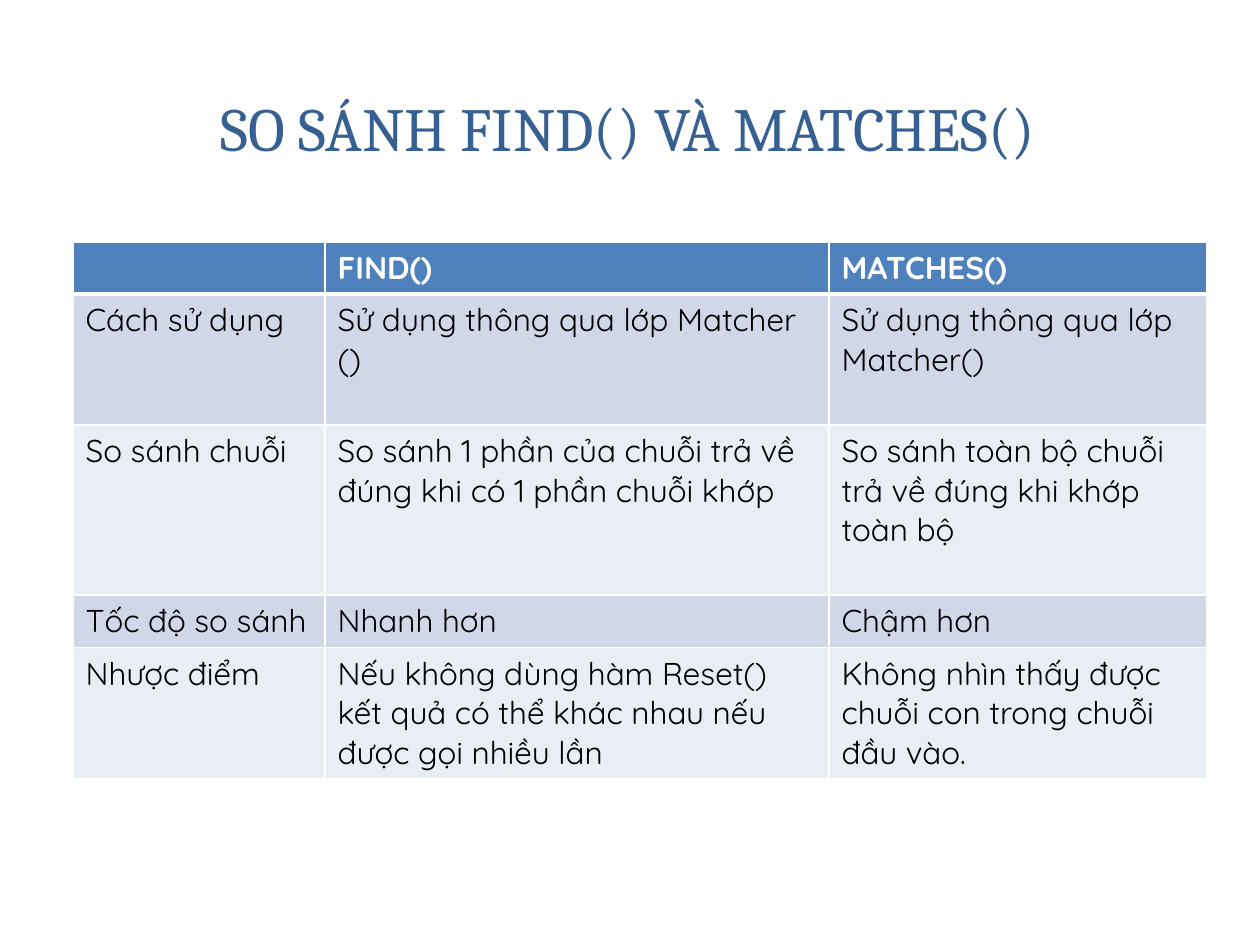
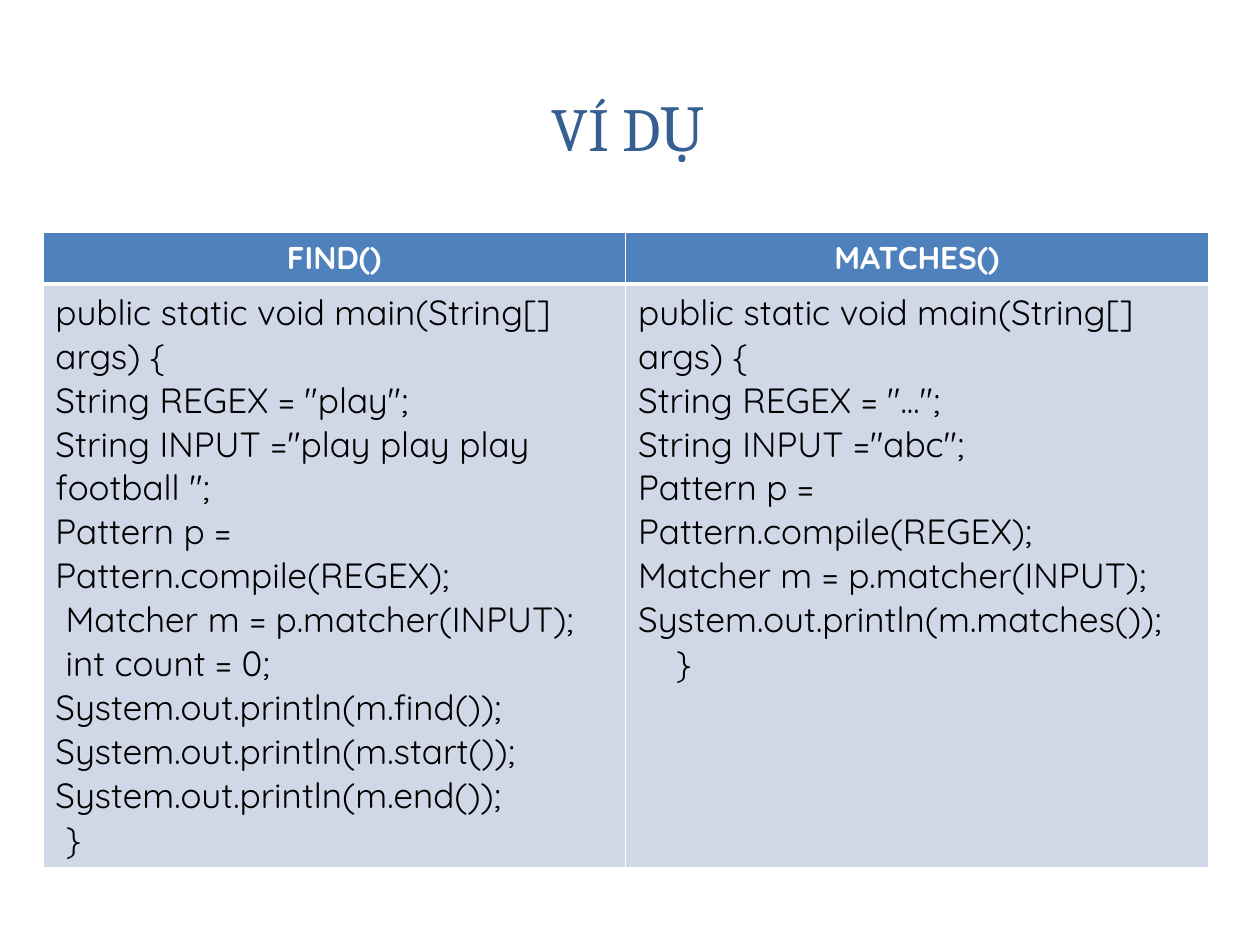
"""Build two slides that compare find() and matches() in tables."""
import pptx
import pptx.dml.color
import pptx.enum.shapes
import pptx.enum.text
import pptx.oxml
import pptx.oxml.ns
import pptx.util
from pptx.util import Inches

TITLE_BLUE = "376092"
HEADER_BLUE = "4F81BD"
BAND_FILLS = ["D0D8E8", "E9EDF4"]
WHITE = "FFFFFF"
BLACK = "000000"
TITLE_FONT = "Cambria"
BODY_FONT = "Quicksand"
CENTER = pptx.enum.text.PP_ALIGN.CENTER
LEFT = pptx.enum.text.PP_ALIGN.LEFT
ROUNDED = pptx.enum.shapes.MSO_SHAPE.ROUNDED_RECTANGLE
RECTANGLE = pptx.enum.shapes.MSO_SHAPE.RECTANGLE
DRAWING_NAMESPACE = pptx.oxml.ns.nsdecls("a")
PANELS = [
    (ROUNDED, (0.1, 0.11, 9.8, 7.29), 100),
    (RECTANGLE, (0.3, 0.3, 9.4, 1.45), 83),
    (RECTANGLE, (0.41, 0.41, 9.17, 1.22), 100),
]


def color(hex_string):
    return pptx.dml.color.RGBColor.from_string(hex_string)


def add_run(paragraph, text, font_name, size, hex_string, bold=False):
    run = paragraph.add_run()
    run.text = text
    run.font.name = font_name
    run.font.size = pptx.util.Pt(size)
    run.font.bold = bold
    run.font.color.rgb = color(hex_string)


find_code = [
    ("public static void main(String[] args) {", 0),
    ('String REGEX = "play";', 0),
    ('String INPUT ="play play play football ";', 0),
    ("Pattern p = Pattern.compile(REGEX);", 0),
    ("Matcher m = p.matcher(INPUT);", 0.08),
    ("int count = 0;", 0.08),
    ("System.out.println(m.find());", 0),
    ("System.out.println(m.start());", 0),
    ("System.out.println(m.end());", 0),
    ("}", 0.08),
]
matches_code = [
    ("public static void main(String[] args) {", 0),
    ('String REGEX = "...";', 0),
    ('String INPUT ="abc";', 0),
    ("Pattern p = Pattern.compile(REGEX);", 0),
    ("Matcher m = p.matcher(INPUT); System.out.println(m.matches());", 0),
    ("}", 0.3),
]
comparison_rows = [
    ["", "FIND()", "MATCHES()"],
    ["Cách sử dụng", "Sử dụng thông qua lớp Matcher ()", "Sử dụng thông qua lớp Matcher()"],
    ["So sánh chuỗi", "So sánh 1 phần của chuỗi trả về đúng khi có 1 phần chuỗi khớp",
     "So sánh toàn bộ chuỗi trả về đúng khi khớp toàn bộ"],
    ["Tốc độ so sánh", "Nhanh hơn", "Chậm hơn"],
    ["Nhược điểm", "Nếu không dùng hàm Reset() kết quả có thể khác nhau nếu được gọi nhiều lần",
     "Không nhìn thấy được chuỗi con trong chuỗi đầu vào."],
]
slides = [
    {
        "title": "SO SÁNH FIND() VÀ MATCHES()",
        "corner": (0.58, 1.92),
        "widths": [2, 4, 3],
        "heights": [0.41, 1.04, 1.35, 0.41, 1.04],
        "header_alignment": LEFT,
        "body_size": 18,
        "rows": [[[(text, 0)] if text else [] for text in row] for row in comparison_rows],
    },
    {
        "title": "VÍ DỤ",
        "corner": (0.34, 1.84),
        "widths": [9.25 / 2] * 2,
        "heights": [0.41, 4.62],
        "header_alignment": CENTER,
        "body_size": 20,
        "rows": [[[("FIND()", 0)], [("MATCHES()", 0)]], [find_code, matches_code]],
    },
]

presentation = pptx.Presentation()
presentation.slide_width = Inches(10)
presentation.slide_height = Inches(7.5)

for content in slides:
    slide = presentation.slides.add_slide(presentation.slide_layouts[5])
    title = slide.shapes.title
    for kind, box, opacity in PANELS:
        panel = slide.shapes.add_shape(kind, *[Inches(length) for length in box])
        panel.shadow.inherit = False
        panel.line.fill.background()
        panel.fill.solid()
        panel.fill.fore_color.rgb = color(WHITE)
        if kind == ROUNDED:
            panel.adjustments[0] = 0.02
        if opacity < 100:
            fill_color = panel._element.spPr.find(".//" + pptx.oxml.ns.qn("a:srgbClr"))
            fill_color.append(pptx.oxml.parse_xml(
                f'<a:alpha {DRAWING_NAMESPACE} val="{opacity * 1000}"/>'))
        title._element.addprevious(panel._element)

    title.left, title.top = Inches(0.47), Inches(0.44)
    title.width, title.height = Inches(9.03), Inches(1.14)
    title.text_frame.vertical_anchor = pptx.enum.text.MSO_ANCHOR.MIDDLE
    title_paragraph = title.text_frame.paragraphs[0]
    title_paragraph.alignment = CENTER
    add_run(title_paragraph, content["title"], TITLE_FONT, 35, TITLE_BLUE)

    left, top = content["corner"]
    widths, heights = content["widths"], content["heights"]
    table = slide.shapes.add_table(
        len(heights), len(widths), Inches(left), Inches(top),
        Inches(sum(widths)), Inches(sum(heights))).table
    for column, width in zip(table.columns, widths):
        column.width = Inches(width)
    for row, height in zip(table.rows, heights):
        row.height = Inches(height)

    for row_index, row in enumerate(content["rows"]):
        is_header = row_index == 0
        fill = HEADER_BLUE if is_header else BAND_FILLS[(row_index - 1) % 2]
        for column_index, lines in enumerate(row):
            cell = table.cell(row_index, column_index)
            cell_properties = cell._tc.get_or_add_tcPr()
            for side in "LRTB":
                under_header = (row_index, side) in [(0, "B"), (1, "T")]
                line_width = pptx.util.Pt(3 if under_header else 1)
                cell_properties.append(pptx.oxml.parse_xml(
                    f'<a:ln{side} {DRAWING_NAMESPACE} w="{line_width}"><a:solidFill>'
                    f'<a:srgbClr val="{WHITE}"/></a:solidFill></a:ln{side}>'))
            cell.fill.solid()
            cell.fill.fore_color.rgb = color(fill)

            for line_index, (text, indent) in enumerate(lines):
                frame = cell.text_frame
                paragraph = frame.add_paragraph() if line_index else frame.paragraphs[0]
                paragraph.alignment = content["header_alignment"] if is_header else LEFT
                if indent:
                    paragraph._p.get_or_add_pPr().set("marL", str(Inches(indent)))
                add_run(paragraph, text, BODY_FONT, 18 if is_header else content["body_size"],
                        WHITE if is_header else BLACK, is_header)

presentation.save("out.pptx")
